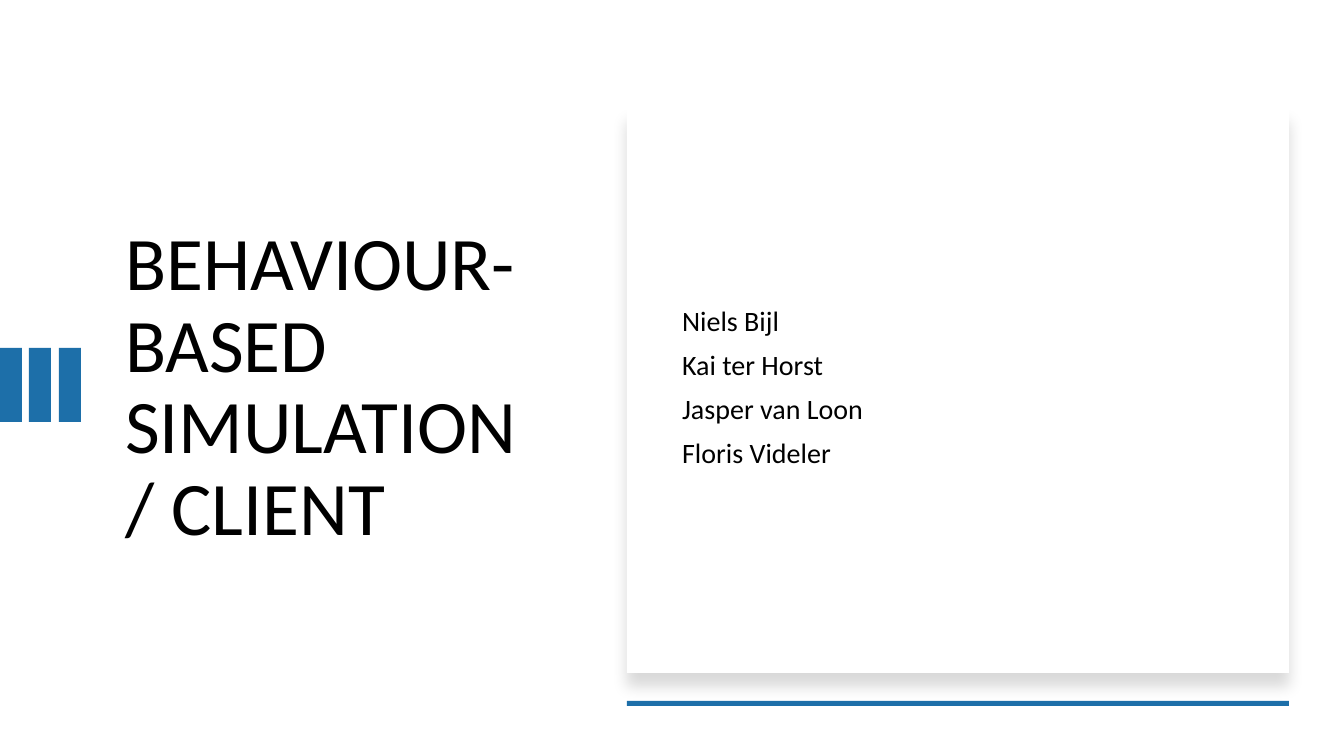
import dataclasses

import lxml.etree
import pptx
import pptx.dml.color
import pptx.enum.shapes
import pptx.enum.text
import pptx.oxml
import pptx.oxml.ns
import pptx.util

SLIDE_WIDTH = pptx.util.Emu(12192000)
SLIDE_HEIGHT = pptx.util.Emu(6858000)
EMU_PER_PIXEL = SLIDE_WIDTH / 1344

BLACK = pptx.dml.color.RGBColor(0x00, 0x00, 0x00)
WHITE = pptx.dml.color.RGBColor(0xFF, 0xFF, 0xFF)
BLUE = pptx.dml.color.RGBColor(0x1D, 0x6F, 0xA9)
FONT = "Calibri"

BAR_COUNT = 3
TITLE = "BEHAVIOUR-BASED SIMULATION / CLIENT"
AUTHORS = ["Niels Bijl", "Kai ter Horst", "Jasper van Loon", "Floris Videler"]


@dataclasses.dataclass(frozen=True)
class Box:
    left: int
    top: int
    width: int
    height: int

    def emu(self) -> list[pptx.util.Emu]:
        return [pptx.util.Emu(round(pixels * EMU_PER_PIXEL))
                for pixels in dataclasses.astuple(self)]


def add_block(shapes, box: Box, color: pptx.dml.color.RGBColor):
    block = shapes.add_shape(pptx.enum.shapes.MSO_SHAPE.RECTANGLE, *box.emu())
    block.shadow.inherit = False
    block.fill.solid()
    block.fill.fore_color.rgb = color
    block.line.fill.background()
    return block


def add_soft_shadow(block) -> None:
    effects = block.element.spPr.find(pptx.oxml.ns.qn("a:effectLst"))
    shadow = pptx.oxml.parse_xml(
        f'<a:outerShdw {pptx.oxml.ns.nsdecls("a")} blurRad="{pptx.util.Pt(11)}" '
        f'dist="{pptx.util.Pt(10)}" dir="5400000" algn="t" rotWithShape="0">'
        f'<a:srgbClr val="{BLACK}"><a:alpha val="15000"/></a:srgbClr></a:outerShdw>')
    effects.append(shadow)


def fill_placeholder(placeholder, box: Box, lines: list[str],
                     size: int, space_before: int) -> None:
    placeholder.left, placeholder.top, placeholder.width, placeholder.height = box.emu()
    frame = placeholder.text_frame
    frame.word_wrap = True
    frame.auto_size = pptx.enum.text.MSO_AUTO_SIZE.NONE
    frame.vertical_anchor = pptx.enum.text.MSO_ANCHOR.MIDDLE
    for index, line in enumerate(lines):
        paragraph = frame.add_paragraph() if index else frame.paragraphs[0]
        paragraph.alignment = pptx.enum.text.PP_ALIGN.LEFT
        paragraph.line_spacing = 0.9
        paragraph.space_before = pptx.util.Pt(space_before)
        run = paragraph.add_run()
        run.text = line
        run.font.name = FONT
        run.font.size = pptx.util.Pt(size)
        run.font.color.rgb = BLACK


presentation = pptx.Presentation()
presentation.slide_width = SLIDE_WIDTH
presentation.slide_height = SLIDE_HEIGHT
slide = presentation.slides.add_slide(presentation.slide_layouts[0])
slide.background.fill.solid()
slide.background.fill.fore_color.rgb = WHITE

# Title
fill_placeholder(slide.shapes.title, Box(115, 151, 429, 475), [TITLE], 54, 0)

# Accent bars at the left edge, 29.5 pixels apart
accent = slide.shapes.add_group_shape()
for index in range(BAR_COUNT):
    add_block(accent.shapes, Box(index * 59 // 2, 348, 22, 74), BLUE)

# Raised panel with the authors on it
panel = add_block(slide.shapes, Box(627, 108, 662, 565), WHITE)
add_soft_shadow(panel)
authors = slide.placeholders[1]
fill_placeholder(authors, Box(672, 151, 576, 475), AUTHORS, 20, 10)
panel.element.addnext(authors.element)

# Rule below the panel
add_block(slide.shapes, Box(627, 701, 662, 5), BLUE)

presentation.save("out.pptx")
